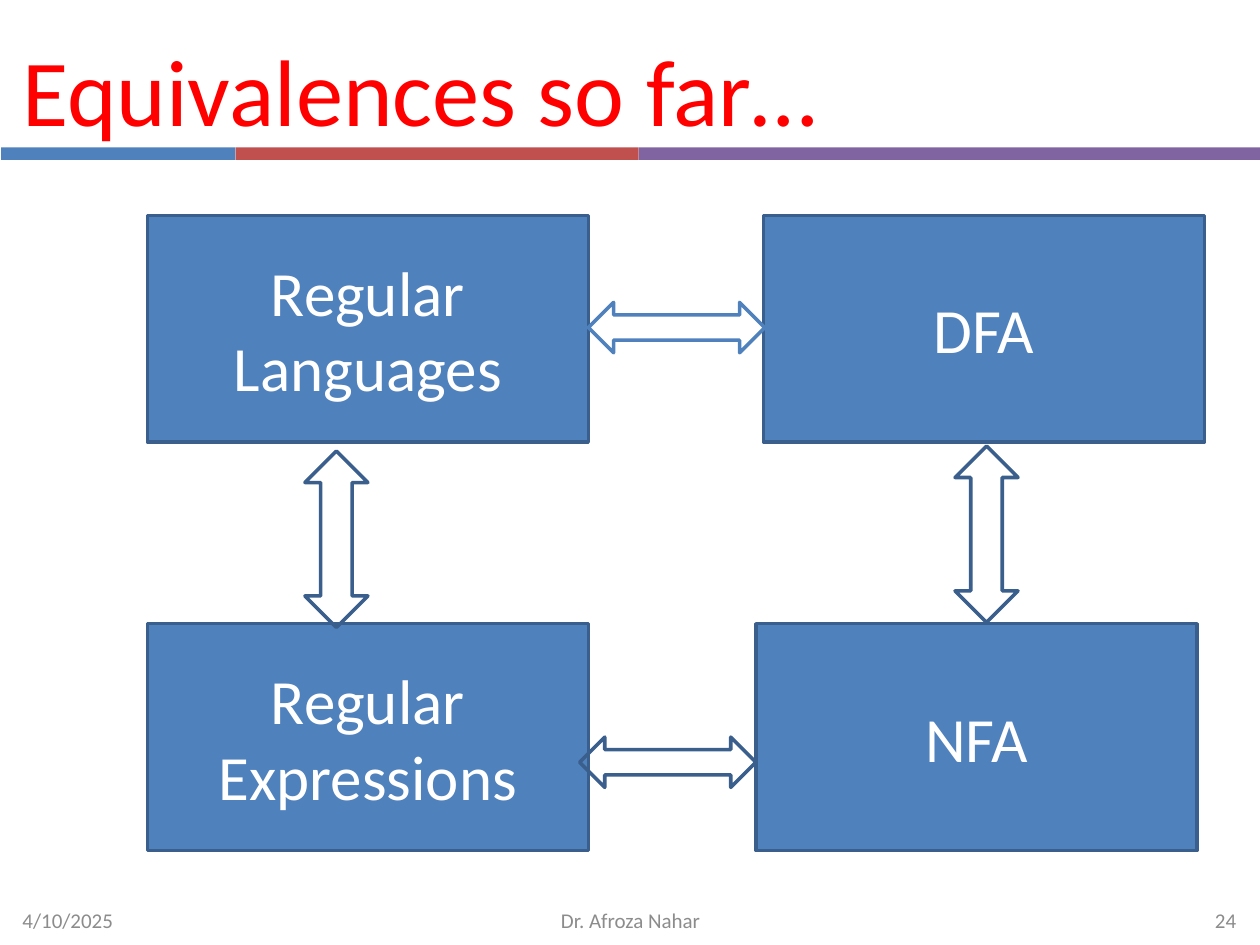
from pptx import Presentation
from pptx.dml.color import RGBColor
from pptx.enum.shapes import MSO_SHAPE as Preset
from pptx.enum.text import MSO_ANCHOR as Anchor, PP_ALIGN as Align
from pptx.util import Inches, Pt

COLUMNS, ROWS = 100, 75
BLUE, RED, PURPLE = "4F81BD", "C0504D", "8064A2"
OUTLINE, GREY = "3A5F8C", "8C8C8C"


def color(hex_string):
    return RGBColor.from_string(hex_string)


class SlideBuilder:
    """Draws on one slide; places are (column, row, columns wide, rows high)."""

    font = "Calibri"
    line_width = Pt(2)

    def __init__(self, presentation):
        self.slide = presentation.slides.add_slide(presentation.slide_layouts[6])
        self.column = presentation.slide_width / COLUMNS
        self.row = presentation.slide_height / ROWS

    def place(self, left, top, width, height):
        return (round(left * self.column), round(top * self.row),
                round(width * self.column), round(height * self.row))

    def fill_text(self, shape, text, size, text_color, align):
        frame = shape.text_frame
        frame.word_wrap = True
        frame.vertical_anchor = Anchor.MIDDLE
        paragraph = frame.paragraphs[0]
        paragraph.alignment = align
        run = paragraph.add_run()
        run.text = text
        run.font.name = self.font
        run.font.size = Pt(size)
        run.font.color.rgb = color(text_color)

    def shape(self, preset, place, fill=None, line=None):
        shape = self.slide.shapes.add_shape(preset, *self.place(*place))
        shape.shadow.inherit = False
        if fill:
            shape.fill.solid()
            shape.fill.fore_color.rgb = color(fill)
        else:
            shape.fill.background()
        if line:
            shape.line.color.rgb = color(line)
            shape.line.width = self.line_width
        else:
            shape.line.fill.background()
        return shape

    def box(self, text, place):
        box = self.shape(Preset.RECTANGLE, place, BLUE, OUTLINE)
        self.fill_text(box, text, 36, "FFFFFF", Align.CENTER)

    def text(self, text, place, size, text_color, align=Align.LEFT):
        text_box = self.slide.shapes.add_textbox(*self.place(*place))
        self.fill_text(text_box, text, size, text_color, align)


def main():
    presentation = Presentation()
    presentation.slide_width = Inches(10)
    presentation.slide_height = Inches(7.5)
    builder = SlideBuilder(presentation)

    band_left = 0.1
    for band_width, band_color in ((18.6, BLUE), (32, RED), (49.4, PURPLE)):
        builder.shape(Preset.RECTANGLE, (band_left, 11.7, band_width, 1), band_color)
        band_left += band_width
    builder.text("Equivalences so far…", (0.8, 0.8, 90, 12.5), 54, "FF0000")

    top_row, bottom_row = 17.1, 49.5
    for name, left, top in (("Regular Languages", 11.7, top_row),
                            ("DFA", 60.6, top_row),
                            ("Regular Expressions", 11.7, bottom_row),
                            ("NFA", 60, bottom_row)):
        builder.box(name, (left, top, 35, 18))

    for left, top in ((75.8, 35.4), (24.2, 35.8)):
        builder.shape(Preset.UP_DOWN_ARROW, (left, top, 5, 14), line=OUTLINE)
    for left, top, line in ((46.7, 24, BLUE), (46, 58.5, OUTLINE)):
        builder.shape(Preset.LEFT_RIGHT_ARROW, (left, top, 14, 4), line=line)

    for text, left, width, align in (("4/10/2025", 0.8, 23.3, Align.LEFT),
                                     ("Dr. Afroza Nahar", 34.2, 31.7, Align.CENTER),
                                     ("24", 75.8, 23.3, Align.RIGHT)):
        builder.text(text, (left, 71, width, 4), 12, GREY, align)

    presentation.save("out.pptx")


if __name__ == "__main__":
    main()
